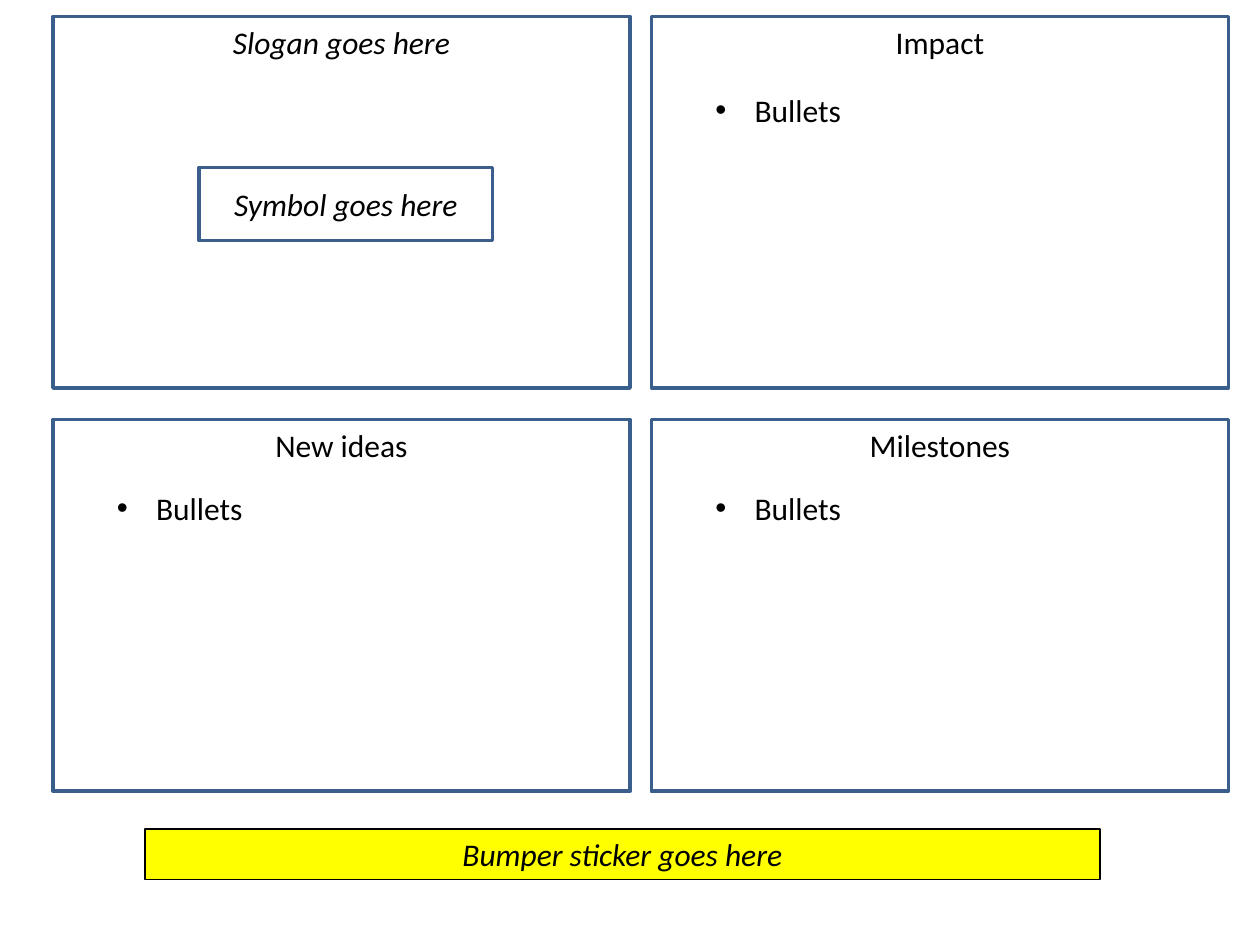
from pptx import Presentation, util as u
from pptx.dml.color import RGBColor
from pptx.enum import shapes, text
from lxml import etree

# Content: title, italic, list items, drop from panel top to list
PANELS = [
    ("Slogan goes here", True, [], 0),
    ("Impact", False, ["Bullets"], 0.54),
    ("New ideas", False, ["Bullets"], 0.5),
    ("Milestones", False, ["Bullets"], 0.5),
]
SYMBOL = "Symbol goes here"
BUMPER = "Bumper sticker goes here"

THEME = {
    "font": {"name": "Calibri", "size": u.Pt(18)},
    "ink": RGBColor(0, 0, 0),
    "panel": {"fill": "FFFFFF", "line": "3A5F8C", "width": 2},
    "bumper": {"fill": "FFFF00", "line": "000000", "width": 0.75},
}

# Panel grid
LEFT, TOP, WIDE, HIGH = 0.42, 0.13, 4.58, 2.95
STEP_X, STEP_Y = 4.75, 3.2
LIST_X, LIST_W, ROW_H, INDENT = 0.41, 3.75, 0.4, 0.31

TOP_ANCHOR = text.MSO_ANCHOR.TOP
MIDDLE = text.MSO_ANCHOR.MIDDLE
GROW = text.MSO_AUTO_SIZE.SHAPE_TO_FIT_TEXT


def write(shape, lines, align, italic=False, **frame):
    body = shape.text_frame
    for key, val in {"word_wrap": True, **frame}.items():
        setattr(body, key, val)
    for i, line in enumerate(lines):
        para = body.add_paragraph() if i else body.paragraphs[0]
        para.alignment = align
        run = para.add_run()
        run.text = line
        for key, val in {**THEME["font"], "italic": italic}.items():
            setattr(run.font, key, val)
        run.font.color.rgb = THEME["ink"]


def add_box(slide, at, words, style, italic=False, **frame):
    box = slide.shapes.add_shape(shapes.MSO_SHAPE.RECTANGLE, *map(u.Inches, at))
    look = THEME[style]
    box.shadow.inherit = False
    box.fill.solid()
    box.fill.fore_color.rgb = RGBColor.from_string(look["fill"])
    box.line.color.rgb = RGBColor.from_string(look["line"])
    box.line.width = u.Pt(look["width"])
    write(box, [words], text.PP_ALIGN.CENTER, italic, **frame)


def add_list(slide, at, items):
    box = slide.shapes.add_textbox(*map(u.Inches, at))
    write(box, items, text.PP_ALIGN.LEFT, auto_size=GROW)
    for para in box.text_frame.paragraphs:
        props = para._p.get_or_add_pPr()
        props.set("marL", str(u.Inches(INDENT)))
        props.set("indent", str(-u.Inches(INDENT)))
        ns = "{" + props.nsmap["a"] + "}"
        etree.SubElement(props, ns + "buFont", typeface="Arial")
        etree.SubElement(props, ns + "buChar", char="•")


def main():
    deck = Presentation()
    deck.slide_width, deck.slide_height = u.Inches(10), u.Inches(7.5)
    slide = deck.slides.add_slide(deck.slide_layouts[6])

    # Four panels with their lists
    for i, (title, italic, items, drop) in enumerate(PANELS):
        row, col = divmod(i, 2)
        x, y = LEFT + col * STEP_X, TOP + row * STEP_Y
        add_box(slide, (x, y, WIDE, HIGH), title, "panel", italic,
                vertical_anchor=TOP_ANCHOR)
        if items:
            add_list(slide, (x + LIST_X, y + drop, LIST_W, ROW_H), items)

    # Symbol box and bumper sticker
    add_box(slide, (1.58, 1.33, 2.33, 0.58), SYMBOL, "panel", True,
            vertical_anchor=MIDDLE)
    add_box(slide, (1.15, 6.58, 7.58, ROW_H), BUMPER, "bumper", True,
            vertical_anchor=TOP_ANCHOR, auto_size=GROW)
    deck.save("out.pptx")


if __name__ == "__main__":
    main()
